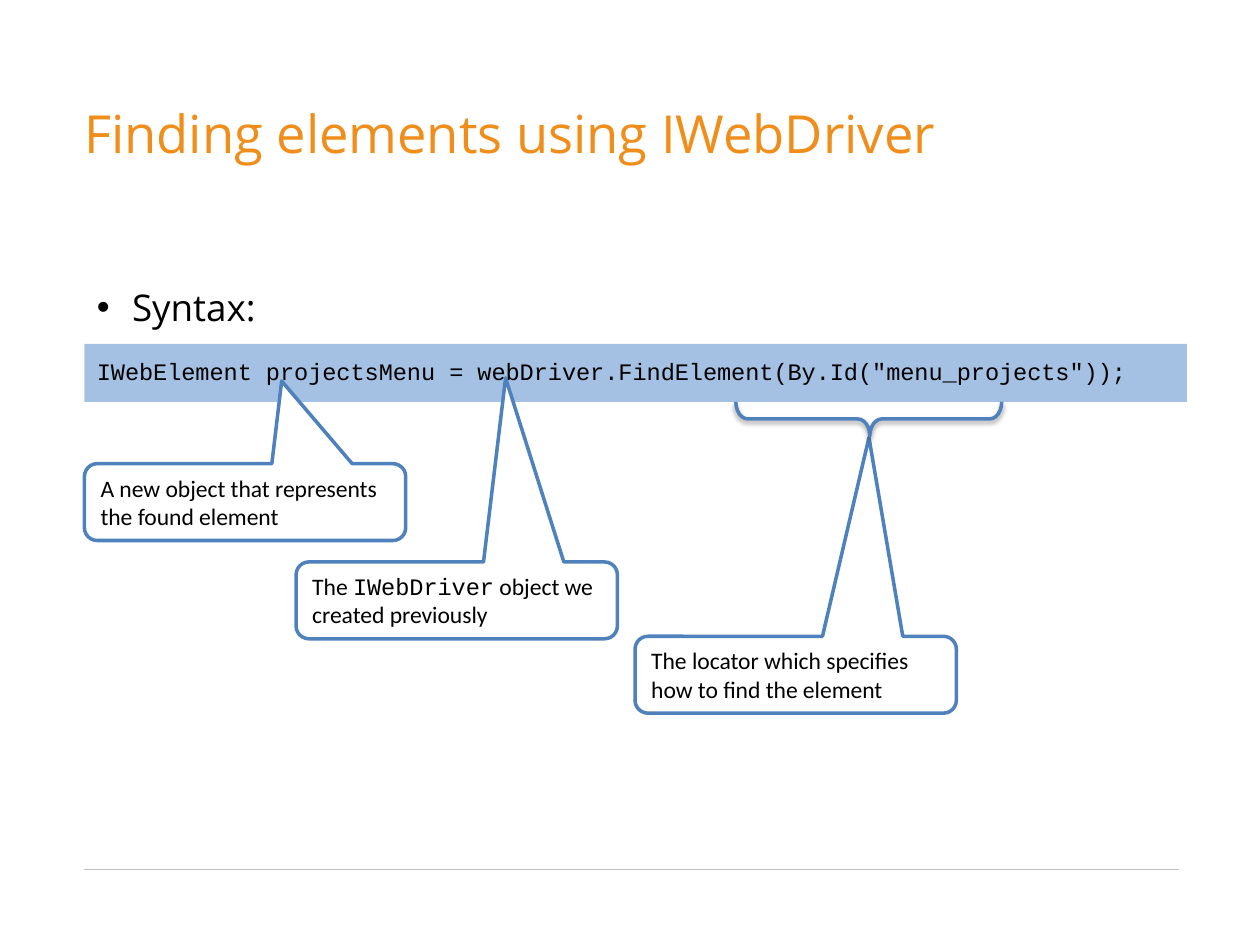
from lxml.etree import SubElement
from pptx import Presentation
from pptx.dml.color import RGBColor
from pptx.enum.shapes import MSO_CONNECTOR, MSO_SHAPE
from pptx.enum.text import MSO_ANCHOR, PP_ALIGN
from pptx.oxml.ns import qn
from pptx.util import Inches, Pt

ORANGE = RGBColor(0xF0, 0x8E, 0x1B)
BLACK = RGBColor(0, 0, 0)
WHITE = RGBColor(0xFF, 0xFF, 0xFF)
BAR_BLUE = RGBColor(0x4B, 0x84, 0xC9)
LINE_BLUE = RGBColor(0x4F, 0x81, 0xBD)
GREY = RGBColor(0xBF, 0xBF, 0xBF)
SANS, CODE, BODY = "Open Sans", "Courier New", "Calibri"

# Content
TITLE = "Finding elements using IWebDriver"
SYNTAX = "Syntax:"
STATEMENT = 'IWebElement projectsMenu = webDriver.FindElement(By.Id("menu_projects"));'
LEFT = 0.67
CALLOUT_SIZE = (2.55, 0.61)
CALLOUTS = [  # left, top, pointer offsets, runs
    (LEFT, 3.68, (0.114, -1.575),
     [("A new object that represents the found element", BODY)]),
    (2.35, 4.46, (0.152, -2.895),
     [("The ", BODY), ("IWebDriver", CODE), (" object we created previously", BODY)]),
    (5.04, 5.05, (0.228, -3.087),
     [("The locator which specifies how to find the element", BODY)]),
]

presentation = Presentation()
presentation.slide_width, presentation.slide_height = Inches(10), Inches(7.5)
slide = presentation.slides.add_slide(presentation.slide_layouts[6])


def add_shape(kind, box, fill=None, alpha=None, line=None):
    shape = slide.shapes.add_shape(kind, *map(Inches, box))
    shape.shadow.inherit = False
    if fill is None:
        shape.fill.background()
    else:
        shape.fill.solid()
        shape.fill.fore_color.rgb = fill
    if alpha is not None:
        color = shape.fill._xPr.find(qn("a:solidFill"))[0]
        SubElement(color, qn("a:alpha"), val=str(alpha * 1000))
    if line is None:
        shape.line.fill.background()
    else:
        shape.line.color.rgb = line
        shape.line.width = Pt(2)
    return shape


def write(shape, runs, size, color=BLACK, anchor=MSO_ANCHOR.TOP, insets=(0.1, 0.05, 0.1, 0.05)):
    frame = shape.text_frame
    frame.word_wrap = True
    frame.vertical_anchor = anchor
    for side, inset in zip(("left", "top", "right", "bottom"), insets):
        setattr(frame, "margin_" + side, Inches(inset))
    paragraph = frame.paragraphs[0]
    paragraph.alignment = PP_ALIGN.LEFT
    for text, font in runs:
        run = paragraph.add_run()
        run.text = text
        for name, value in {"name": font, "size": Pt(size)}.items():
            setattr(run.font, name, value)
        run.font.color.rgb = color
    return paragraph


# Footer rule
rule = slide.shapes.add_connector(
    MSO_CONNECTOR.STRAIGHT, Inches(LEFT), Inches(6.9), Inches(9.36), Inches(6.9))
rule.line.color.rgb = GREY
rule.line.width = Pt(0.75)
SubElement(rule._element.spPr, qn("a:effectLst"))

# Title
title = slide.shapes.add_textbox(*map(Inches, (LEFT, 0.52, 8.74, 1.11)))
write(title, [(TITLE, SANS)], 30, ORANGE, MSO_ANCHOR.MIDDLE, (0, 0, 0.1, 0.05))

# Bullet and code bar
body_insets = (0.1, 0.1, 0.1, 0.05)
syntax = add_shape(MSO_SHAPE.RECTANGLE, (LEFT, 2.16, 8.74, 0.56), WHITE, 69)
properties = write(syntax, [(SYNTAX, SANS)], 21, insets=body_insets)._p.get_or_add_pPr()
properties.set("marL", str(Inches(0.28)))
properties.set("indent", str(Inches(-0.28)))
SubElement(properties, qn("a:buFont"), typeface="Arial")
SubElement(properties, qn("a:buChar"), char="•")
code_bar = add_shape(MSO_SHAPE.RECTANGLE, (LEFT, 2.73, 8.75, 0.46), BAR_BLUE, 50)
write(code_bar, [(STATEMENT, CODE)], 13.5, insets=body_insets)

# Callouts
for left, top, pointer, runs in CALLOUTS:
    callout = add_shape(MSO_SHAPE.ROUNDED_RECTANGULAR_CALLOUT,
                        (left, top, *CALLOUT_SIZE), WHITE, line=LINE_BLUE)
    for index, value in enumerate((*pointer, 0.167)):
        callout.adjustments[index] = value
    write(callout, runs, 13.5)

# Brace under the locator, with a soft shadow
brace = add_shape(MSO_SHAPE.LEFT_BRACE, (6.76, 2.27, 0.27, 2.11), line=LINE_BLUE)
brace.rotation = 270
brace.adjustments[0], brace.adjustments[1] = 0.354, 0.504
effects = brace._element.spPr.find(qn("a:effectLst"))
shadow = SubElement(effects, qn("a:outerShdw"), blurRad=str(Pt(3.1)), dist=str(Pt(1.6)),
                    dir="5400000", rotWithShape="0")
shadow_color = SubElement(shadow, qn("a:srgbClr"), val=str(BLACK))
SubElement(shadow_color, qn("a:alpha"), val="38000")

presentation.save("out.pptx")
